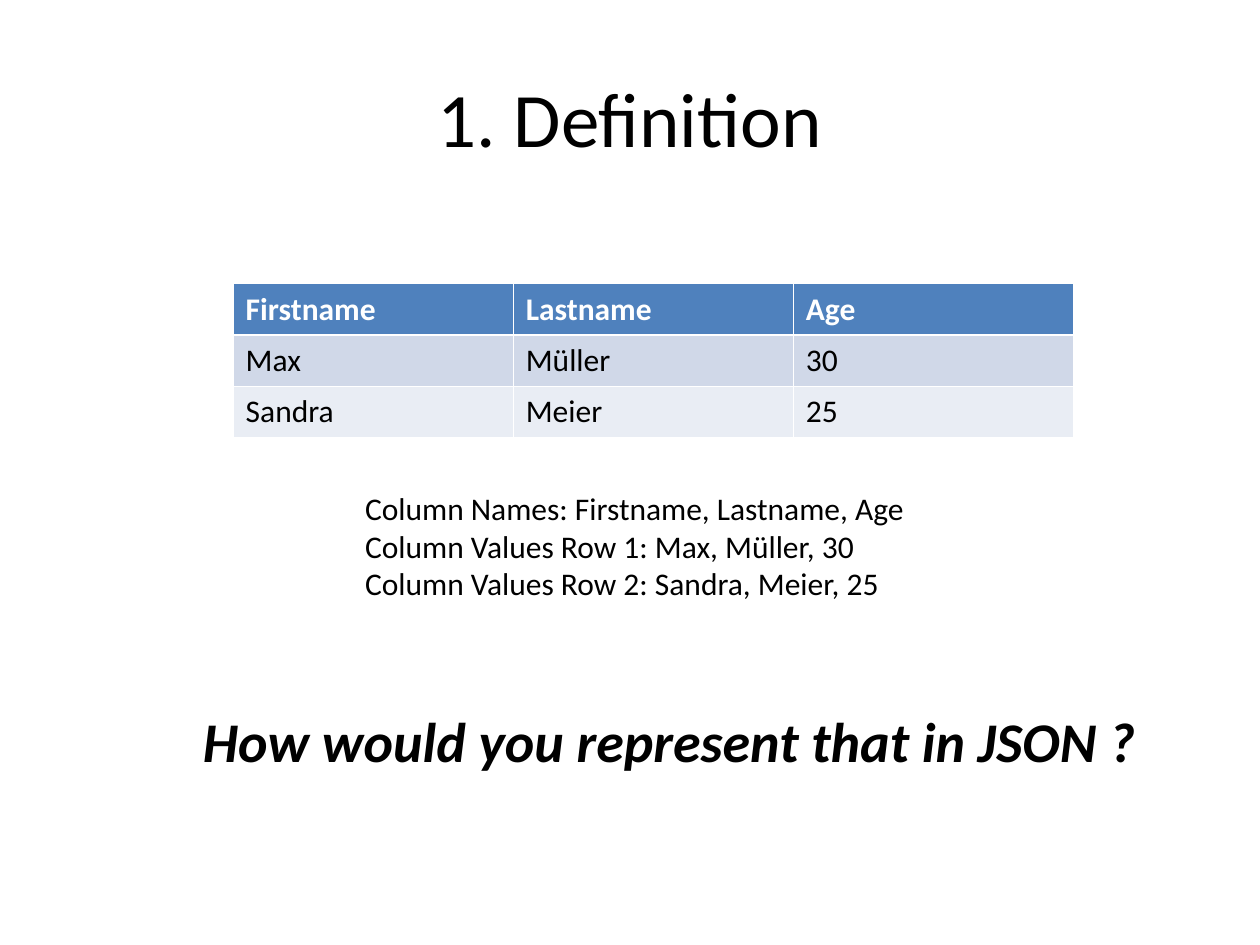
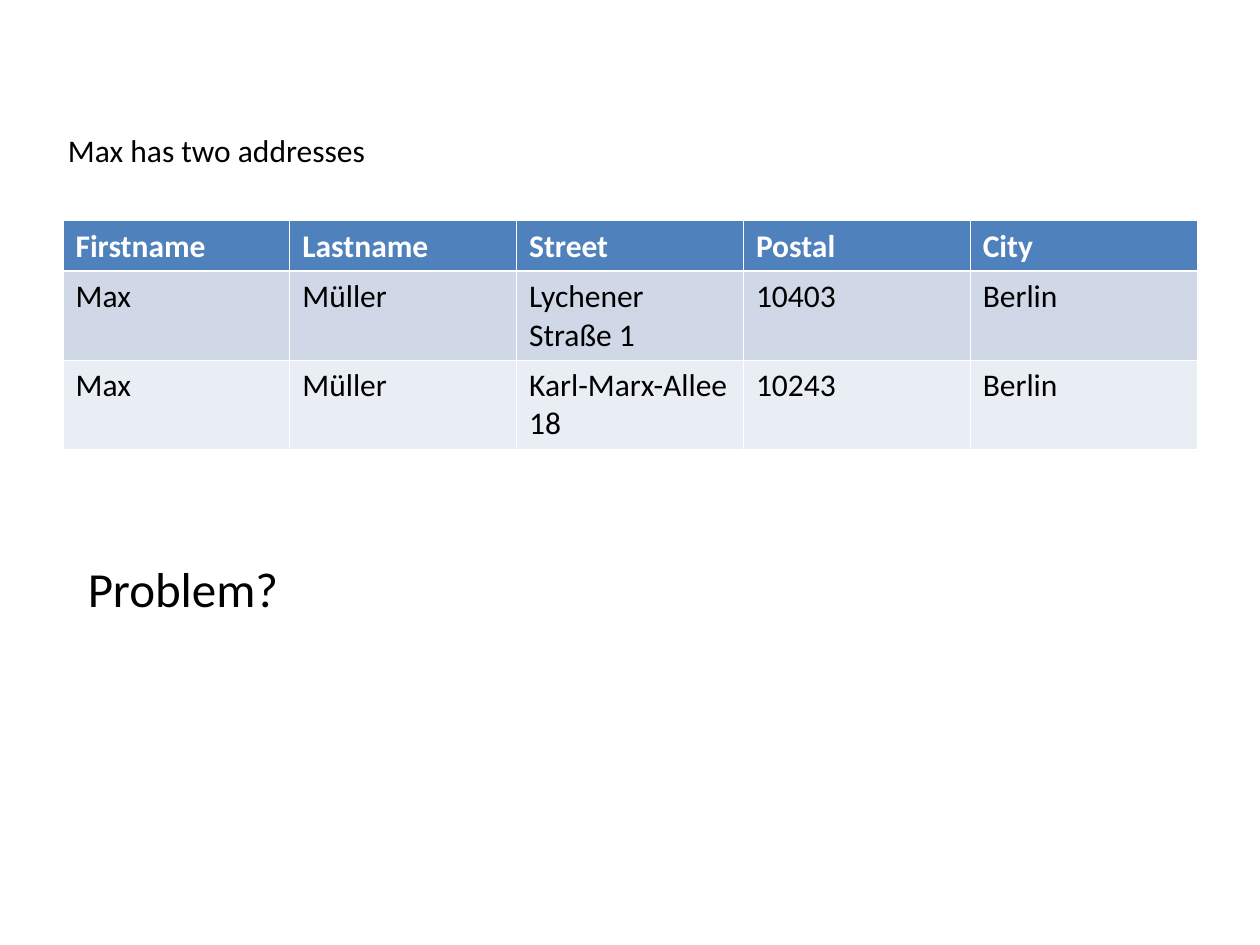
import pptx
import pptx.util
import pptx.dml.color
import pptx.enum.text
import pptx.oxml.ns
import lxml.etree

Cm = pptx.util.Cm
Pt = pptx.util.Pt
RGBColor = pptx.dml.color.RGBColor
ALIGN = pptx.enum.text.PP_ALIGN
ANCHOR = pptx.enum.text.MSO_ANCHOR

# Shared style
FONT = "Calibri"
BLACK = RGBColor(0x00, 0x00, 0x00)
WHITE = RGBColor(0xFF, 0xFF, 0xFF)
HEADER_BLUE = RGBColor(0x4F, 0x81, 0xBD)
BANDS = [RGBColor(0xD0, 0xD8, 0xE8), RGBColor(0xE9, 0xED, 0xF4)]
THIN, THICK = Pt(0.45), Pt(1.47)
TITLE_ONLY, BLANK = 5, 6

# Content: boxes are (left, top, width, height) in centimetres
SLIDES = [
    {
        "title": "1. Definition",
        "table": {
            "left": 4.7, "top": 5.72, "width": 16.94,
            "row_heights": [1.03, 1.03, 1.03],
            "rows": [
                ("Firstname", "Lastname", "Age"),
                ("Max", "Müller", "30"),
                ("Sandra", "Meier", "25"),
            ],
        },
        "texts": [
            {
                "lines": [
                    "Column Names: Firstname, Lastname, Age",
                    "Column Values Row 1: Max, Müller, 30",
                    "Column Values Row 2: Sandra, Meier, 25",
                ],
                "box": (7.11, 9.73, 12.19, 3.3),
                "wrap": True,
            },
            {
                "lines": ["How would you represent that in JSON ?"],
                "box": (3.84, 14.12, 19.33, 1.63),
                "format": {"size": 32, "bold": True, "italic": True},
            },
        ],
    },
    {
        "table": {
            "left": 1.27, "top": 4.45, "width": 22.86,
            "row_heights": [1.02, 1.79, 1.79],
            "rows": [
                ("Firstname", "Lastname", "Street", "Postal", "City"),
                ("Max", "Müller", "Lychener Straße 1", "10403", "Berlin"),
                ("Max", "Müller", "Karl-Marx-Allee 18", "10243", "Berlin"),
            ],
        },
        "texts": [
            {"lines": ["Max has two addresses"], "box": (1.12, 2.51, 6.5, 1.02)},
            {"lines": ["Problem?"], "box": (1.52, 11.13, 4.57, 1.45),
             "format": {"size": 28}},
        ],
    },
]


def write_text(frame, lines, size=18, color=BLACK, bold=False, italic=False,
               align=ALIGN.LEFT):
    """Fill a text frame with one formatted paragraph per line."""
    for number, line in enumerate(lines):
        para = frame.paragraphs[0] if number == 0 else frame.add_paragraph()
        para.alignment = align
        span = para.add_run()
        span.text = line
        span.font.name = FONT
        span.font.size = Pt(size)
        span.font.bold = bold
        span.font.italic = italic
        span.font.color.rgb = color


def set_border(cell, side, width):
    properties = cell._tc.get_or_add_tcPr()
    qn = pptx.oxml.ns.qn
    line = lxml.etree.SubElement(properties, qn("a:ln" + side), w=str(width))
    fill = lxml.etree.SubElement(line, qn("a:solidFill"))
    lxml.etree.SubElement(fill, qn("a:srgbClr"), val=str(WHITE))


def add_title(page, title):
    shape = page.shapes.title
    shape.left, shape.top = Cm(1.27), Cm(0.76)
    shape.width, shape.height = Cm(22.86), Cm(3.18)
    shape.text_frame.vertical_anchor = ANCHOR.MIDDLE
    write_text(shape.text_frame, [title], size=44, align=ALIGN.CENTER)


def add_data_table(page, left, top, width, row_heights, rows):
    columns = len(rows[0])
    table = page.shapes.add_table(len(rows), columns, Cm(left), Cm(top),
                                  Cm(width), Cm(sum(row_heights))).table
    for column in table.columns:
        column.width = Cm(width / columns)
    for r, (values, height) in enumerate(zip(rows, row_heights)):
        table.rows[r].height = Cm(height)
        header = r == 0
        for c, value in enumerate(values):
            cell = table.cell(r, c)
            # The rule below the header is thicker than the others
            set_border(cell, "L", THIN)
            set_border(cell, "R", THIN)
            set_border(cell, "T", THICK if r == 1 else THIN)
            set_border(cell, "B", THICK if header else THIN)
            cell.fill.solid()
            cell.fill.fore_color.rgb = (
                HEADER_BLUE if header else BANDS[(r - 1) % len(BANDS)])
            write_text(cell.text_frame, [value], bold=header,
                       color=WHITE if header else BLACK)


def add_text(page, lines, box, wrap=False, format=None):
    frame = page.shapes.add_textbox(*map(Cm, box)).text_frame
    frame.word_wrap = wrap
    write_text(frame, lines, **(format or {}))


def main():
    deck = pptx.Presentation()
    deck.slide_width, deck.slide_height = Cm(25.4), Cm(19.05)
    for content in SLIDES:
        title = content.get("title")
        layout = deck.slide_layouts[TITLE_ONLY if title else BLANK]
        page = deck.slides.add_slide(layout)
        if title:
            add_title(page, title)
        add_data_table(page, **content["table"])
        for text in content["texts"]:
            add_text(page, **text)
    deck.save("out.pptx")


if __name__ == "__main__":
    main()
